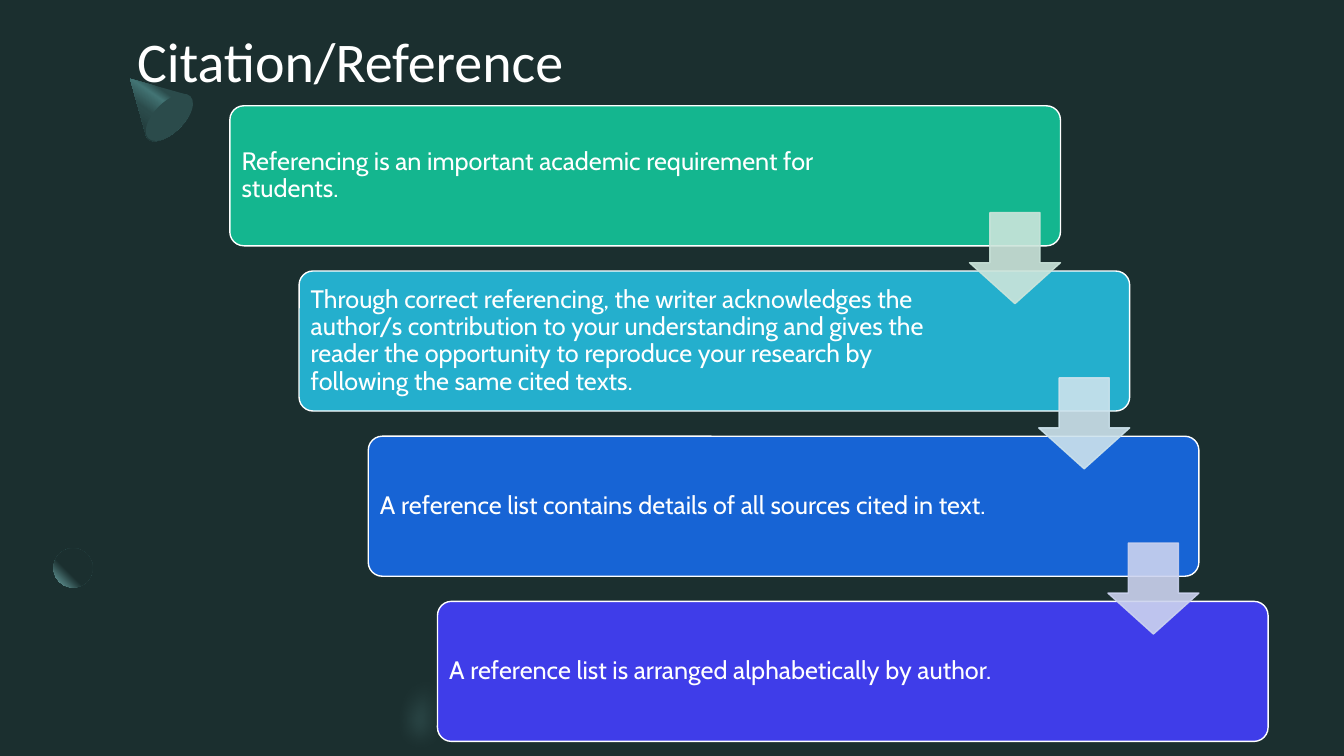
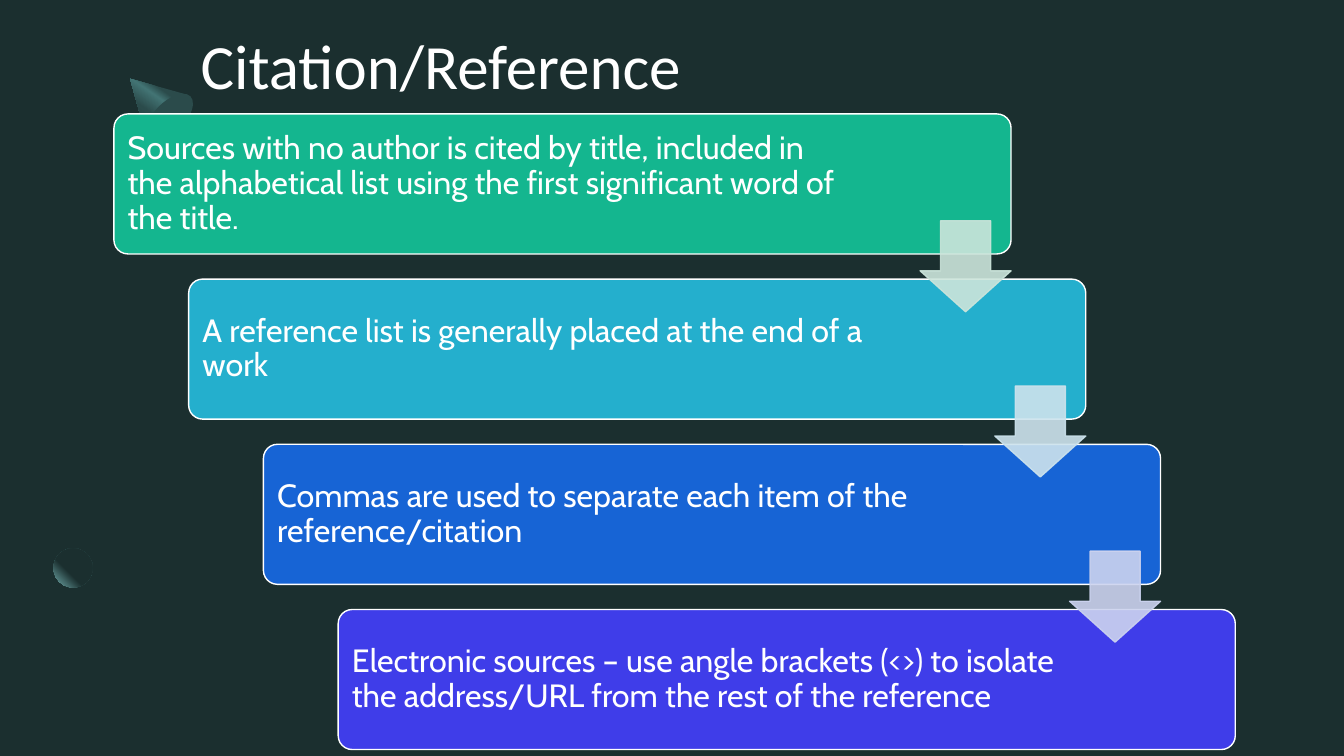
"""Build two citation slides with staggered steps joined by arrows."""
from dataclasses import dataclass

from pptx import Presentation
from pptx.dml.color import RGBColor
from pptx.enum.shapes import MSO_SHAPE as Preset
from pptx.enum.text import MSO_ANCHOR as Anchor, PP_ALIGN as Align
from pptx.oxml import parse_xml
from pptx.oxml.ns import nsdecls, qn
from pptx.util import Pt


@dataclass(frozen=True)
class Theme:
    """Colours, fonts and type sizes of the slides."""
    background: str = "1B2F2F"
    text: str = "FFFFFF"
    cone: str = "2B4B4B"
    cone_light: str = "437474"
    glow: str = "75AFAF"
    steps: tuple = ("14B68F", "24AFCD", "1764D5", "3F3DE9")
    arrows: tuple = ("CCE5DB", "CDE3ED", "CCD3EF")
    title_font: str = "Calibri"
    body_font: str = "Cabin"
    title_sizes: tuple = (40, 45)
    body_sizes: tuple = (18, 23)


THEME = Theme()
STEP_HEIGHT, STEP_PITCH = 100, 118
ARROW_SIZE, ARROW_DROP = 65, 76.3
ARROW_CLEARANCE = 113

CONE = ((92.9, 56.2), [
    (133.9, 67.7), (135.4, 69.1),
    (139.7, 73.4, 136.1, 83.5, 128.2, 91.4),
    (119.5, 100.1, 109.4, 103, 105.8, 99.4), (104.4, 97.2)])
ARC = ((345.6, 447.1), [
    (367.9, 445.7, 391, 455, 409, 473), (383.8, 499),
    (367.2, 482.4, 342.7, 481, 328.3, 495.4),
    (318.2, 506.2, 316.1, 522.7, 322.6, 537.1),
    (324, 540), (283.7, 540), (282.2, 535),
    (276.5, 509.8, 281.5, 483.8, 299.5, 466.6),
    (311.8, 453.6, 328.3, 447.1, 345.6, 447.1)])


def set_text(shape, text, *, font, size, color, insets=(0, 0, 0, 0), spacing=1.0):
    """Write one left-aligned paragraph, vertically centred in the shape."""
    frame = shape.text_frame
    frame.word_wrap = True
    frame.vertical_anchor = Anchor.MIDDLE
    (frame.margin_left, frame.margin_top,
     frame.margin_right, frame.margin_bottom) = map(Pt, insets)
    paragraph = frame.paragraphs[0]
    paragraph.text = text
    paragraph.alignment = Align.LEFT
    paragraph.line_spacing = spacing
    paragraph.font.name = font
    paragraph.font.size = Pt(size)
    paragraph.font.color.rgb = RGBColor.from_string(color)


def paint(shape, fill, line=None, opacity=100):
    """Give the shape a flat fill, an optional line and an opacity in percent."""
    shape.shadow.inherit = False
    shape.fill.solid()
    shape.fill.fore_color.rgb = RGBColor.from_string(fill)
    if line:
        shape.line.color.rgb = RGBColor.from_string(line)
        shape.line.width = Pt(1)
    else:
        shape.line.fill.background()
    if opacity < 100:
        for color in shape._element.spPr.iter(qn("a:srgbClr")):
            color.append(parse_xml(f'<a:alpha {nsdecls("a")} val="{opacity * 1000}"/>'))


def paint_gradient(shape, stops, direction):
    """Replace the flat fill by a gradient of (percent, colour) stops."""
    paint(shape, stops[0][1])
    entries = "".join(
        f'<a:gs pos="{percent * 1000}"><a:srgbClr val="{color}"/></a:gs>'
        for percent, color in stops)
    gradient = parse_xml(
        f'<a:gradFill {nsdecls("a")} rotWithShape="1">'
        f"<a:gsLst>{entries}</a:gsLst>{direction}</a:gradFill>")
    properties = shape._element.spPr
    properties.replace(properties.find(qn("a:solidFill")), gradient)


def curve_points(start, control, count=12):
    """Return points along a cubic curve, without its start."""
    anchors = (start, control[:2], control[2:4], control[4:])
    points = []
    for index in range(1, count + 1):
        t = index / count
        weights = ((1 - t) ** 3, 3 * t * (1 - t) ** 2, 3 * t ** 2 * (1 - t), t ** 3)
        points.append(tuple(sum(weight * anchor[axis] for weight, anchor
                                in zip(weights, anchors)) for axis in (0, 1)))
    return points


def add_outline(slide, start, segments):
    """Add a closed outline made of straight and curved segments."""
    points = [start]
    for segment in segments:
        points += [segment] if len(segment) == 2 else curve_points(points[-1], segment)
    first, *others = [(Pt(x), Pt(y)) for x, y in points]
    builder = slide.shapes.build_freeform(*first)
    builder.add_line_segments(others, close=True)
    return builder.convert_to_shape()


def add_preset(slide, preset, left, top, width, height):
    """Add a preset shape measured in points."""
    return slide.shapes.add_shape(preset, Pt(left), Pt(top), Pt(width), Pt(height))


def add_decoration(slide):
    """Add the background colour, the cone, the ball and the soft arc."""
    slide.background.fill.solid()
    slide.background.fill.fore_color.rgb = RGBColor.from_string(THEME.background)
    paint_gradient(
        add_outline(slide, *CONE),
        ((30, THEME.cone), (40, THEME.cone_light), (60, THEME.cone), (100, THEME.background)),
        '<a:lin ang="7500000" scaled="0"/>')
    mouth = add_preset(slide, Preset.OVAL, 110.2, 62.6, 21.6, 42.5)
    mouth.rotation = 45
    paint(mouth, THEME.cone)
    paint_gradient(
        add_preset(slide, Preset.OVAL, 38.2, 391.7, 28, 28),
        ((60, THEME.background), (100, THEME.glow)),
        '<a:path path="circle"><a:fillToRect l="100000" b="100000"/></a:path>')
    arc = add_outline(slide, *ARC)
    paint(arc, THEME.glow, opacity=40)
    arc._element.spPr.find(qn("a:effectLst")).append(
        parse_xml(f'<a:softEdge {nsdecls("a")} rad="{Pt(15)}"/>'))


def add_title(slide, text, size, left, top, height):
    """Add the slide title."""
    title = slide.shapes.add_textbox(Pt(left), Pt(top), Pt(357), Pt(height))
    set_text(title, text, font=THEME.title_font, size=size, color=THEME.text)


def add_staircase(slide, texts, size, left, top, width):
    """Add steps that each move right by a twelfth, then the arrows between them."""
    inset = size * 0.3
    corners = [(left + index * width / 12, top + index * STEP_PITCH)
               for index in range(len(texts))]
    for (x, y), text, color in zip(corners, texts, THEME.steps):
        step = add_preset(slide, Preset.ROUNDED_RECTANGLE, x, y, width, STEP_HEIGHT)
        step.adjustments[0] = 0.1
        paint(step, color, line=THEME.text)
        set_text(step, text, font=THEME.body_font, size=size, color=THEME.text,
                 insets=(inset, inset, inset + ARROW_CLEARANCE, inset), spacing=0.9)
    for (x, y), color in zip(corners, THEME.arrows):
        arrow = add_preset(slide, Preset.DOWN_ARROW, x + width - ARROW_SIZE,
                           y + ARROW_DROP, ARROW_SIZE, ARROW_SIZE)
        arrow.adjustments[0] = 0.55
        arrow.adjustments[1] = 0.45
        paint(arrow, color, line=color, opacity=90)


def main():
    """Build and save the presentation."""
    presentation = Presentation()
    presentation.slide_width, presentation.slide_height = Pt(960), Pt(540)
    title_places = ((97.9, 5.8, 74), (143.3, 10.8, 70.6))
    staircase_places = ((164.2, 75.6, 593.3), (81.4, 81.4, 640.8))
    step_texts = (
        ("Referencing is an important academic requirement for students.",
         "Through correct referencing, the writer acknowledges the author/s contribution "
         "to your understanding and gives the reader the opportunity to reproduce your "
         "research by following the same cited texts.",
         "A reference list contains details of all sources cited in text.",
         "A reference list is arranged alphabetically by author."),
        ("Sources with no author is cited by title, included in the alphabetical list "
         "using the first significant word of the title.",
         "A reference list is generally placed at the end of a work",
         "Commas are used to separate each item of the reference/citation",
         "Electronic sources – use angle brackets (<>) to isolate the address/URL from "
         "the rest of the reference"))
    for texts, title_size, body_size, title_place, staircase_place in zip(
            step_texts, THEME.title_sizes, THEME.body_sizes, title_places, staircase_places):
        slide = presentation.slides.add_slide(presentation.slide_layouts[6])
        add_decoration(slide)
        add_title(slide, "Citation/Reference", title_size, *title_place)
        add_staircase(slide, texts, body_size, *staircase_place)
    presentation.save("out.pptx")


if __name__ == "__main__":
    main()
